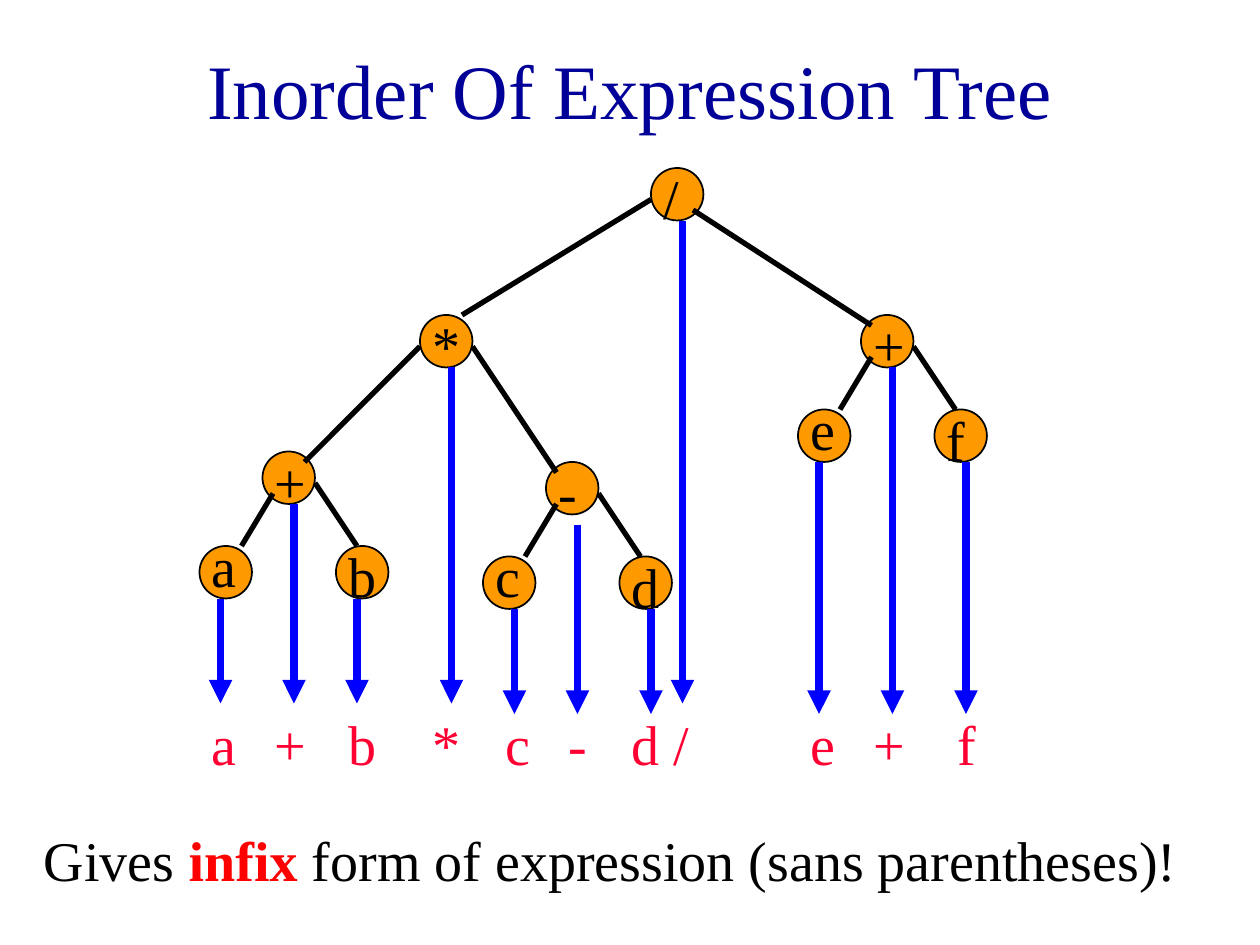
from dataclasses import dataclass
from functools import partial

from lxml import etree
from pptx import Presentation, util as u
from pptx.dml.color import RGBColor
from pptx.enum import shapes, text
from pptx.oxml import ns

COLUMNS, ROWS = 120, 90  # slide grid
CELL = u.Inches(10) // COLUMNS
NODE = 5  # node diameter in cells
LABEL_ROWS = 7.7


@dataclass(frozen=True)
class Theme:
    font: str = "Times New Roman"
    title_size: int = 44
    body_size: int = 32
    title: str = "000099"
    ink: str = "000000"
    node: str = "FF9900"
    arrow: str = "0000FF"
    output: str = "FF0033"
    accent: str = "FF0000"


THEME = Theme()

# Operators with two leaf operands: symbol, left leaf, right leaf, column, row
SUBTREES = [("+", "a", "b", 6, 27), ("-", "c", "d", 33, 28), ("+", "e", "f", 63, 14)]
# Operators above them: symbol, column, row
UPPER_NODES = [("*", 21, 14), ("/", 43, 0)]
# Their branches: from column, row, to column, row
UPPER_BRANCHES = [(21, 17, 10, 28), (26, 17, 34, 29), (43, 3, 25, 14), (47, 4, 64, 15)]
# Inorder visits: symbol, letter column, arrow column, arrow start row, arrow end row
VISITS = [
    ("a", 0, 2, 41, 51), ("+", 6, 9, 32, 51), ("b", 13, 15, 41, 51),
    ("*", 21, 24, 19, 51), ("c", 28, 30, 42, 52), ("-", 34, 36, 34, 52),
    ("d", 40, 43, 42, 52), ("/", 44, 46, 5, 51), ("e", 57, 59, 28, 52),
    ("+", 63, 66, 19, 52), ("f", 71, 73, 28, 52),
]


def cells(*values):
    return [round(value * CELL) for value in values]


def add_text(parent, box, runs, size, align=text.PP_ALIGN.LEFT,
             anchor=text.MSO_ANCHOR.TOP):
    """Place one paragraph; runs are (wording, colour, bold)."""
    frame = parent.add_textbox(*cells(*box)).text_frame
    frame.word_wrap = True
    frame.vertical_anchor = anchor
    paragraph = frame.paragraphs[0]
    paragraph.alignment = align
    for wording, colour, bold in runs:
        run = paragraph.add_run()
        run.text = wording
        run.font.name, run.font.size, run.font.bold = THEME.font, u.Pt(size), bold
        run.font.color.rgb = RGBColor.from_string(colour)


def add_symbol(parent, column, row, symbol, colour):
    add_text(parent, (column, row, NODE, LABEL_ROWS),
             [(symbol, colour, False)], THEME.body_size)


def add_line(parent, origin, ends, colour, width, arrow=False):
    left, top = origin
    x1, y1, x2, y2 = ends
    line = parent.add_connector(
        shapes.MSO_CONNECTOR.STRAIGHT,
        *cells(left + x1, top + y1, left + x2, top + y2))
    line.line.color.rgb = RGBColor.from_string(colour)
    line.line.width = u.Pt(width)
    if arrow:
        etree.SubElement(line.line._get_or_add_ln(), ns.qn("a:tailEnd"), type="triangle")
    etree.SubElement(line._element.spPr, ns.qn("a:effectLst"))


def add_node(parent, origin, symbol, column, row, lift=1):
    """Draw a circle with its symbol starting lift rows above it."""
    x, y = origin[0] + column, origin[1] + row
    circle = parent.add_shape(shapes.MSO_SHAPE.OVAL, *cells(x, y, NODE, NODE))
    circle.shadow.inherit = False
    circle.fill.solid()
    circle.fill.fore_color.rgb = RGBColor.from_string(THEME.node)
    circle.line.color.rgb = RGBColor.from_string(THEME.ink)
    circle.line.width = u.Pt(1)
    add_symbol(parent, x, y - lift, symbol, THEME.ink)


def add_tree(slide, origin):
    tree = slide.shapes.add_group_shape().shapes
    branch = partial(add_line, tree, origin, colour=THEME.ink, width=3)
    for operator, left, right, x, y in SUBTREES:
        add_node(tree, origin, operator, x, y)
        add_node(tree, origin, left, x - 6, y + 9, lift=2)
        add_node(tree, origin, right, x + 7, y + 9)
        branch((x + 1, y + 4, x - 2, y + 9))
        branch((x + 5, y + 3, x + 9, y + 9))
    for operator, x, y in UPPER_NODES:
        add_node(tree, origin, operator, x, y)
    for ends in UPPER_BRANCHES:
        branch(ends)


def add_arrows(slide, origin):
    arrows = slide.shapes.add_group_shape().shapes
    for _, _, x, start, end in VISITS:
        add_line(arrows, origin, (x, start, x, end), THEME.arrow, 4.5, arrow=True)


def add_output(slide, origin):
    output = slide.shapes.add_group_shape().shapes
    for symbol, column, *_ in VISITS:
        add_symbol(output, origin[0] + column, origin[1], symbol, THEME.output)


def add_title(slide, box):
    add_text(slide.shapes, box, [("Inorder Of Expression Tree", THEME.title, False)],
             THEME.title_size, text.PP_ALIGN.CENTER, text.MSO_ANCHOR.MIDDLE)


def add_conclusion(slide, box):
    add_text(slide.shapes, box, [
        ("Gives ", THEME.ink, False),
        ("infix", THEME.accent, True),
        (" form of expression (sans parentheses)!", THEME.ink, False),
    ], THEME.body_size)


def main():
    deck = Presentation()
    deck.slide_width, deck.slide_height = cells(COLUMNS, ROWS)
    slide = deck.slides.add_slide(deck.slide_layouts[6])
    add_title(slide, (9, 2, 102, 13))
    add_tree(slide, (19, 16))
    add_conclusion(slide, (3, 78, 113, LABEL_ROWS))
    add_arrows(slide, (19, 16))
    add_output(slide, (19, 67))
    deck.save("out.pptx")


if __name__ == "__main__":
    main()
